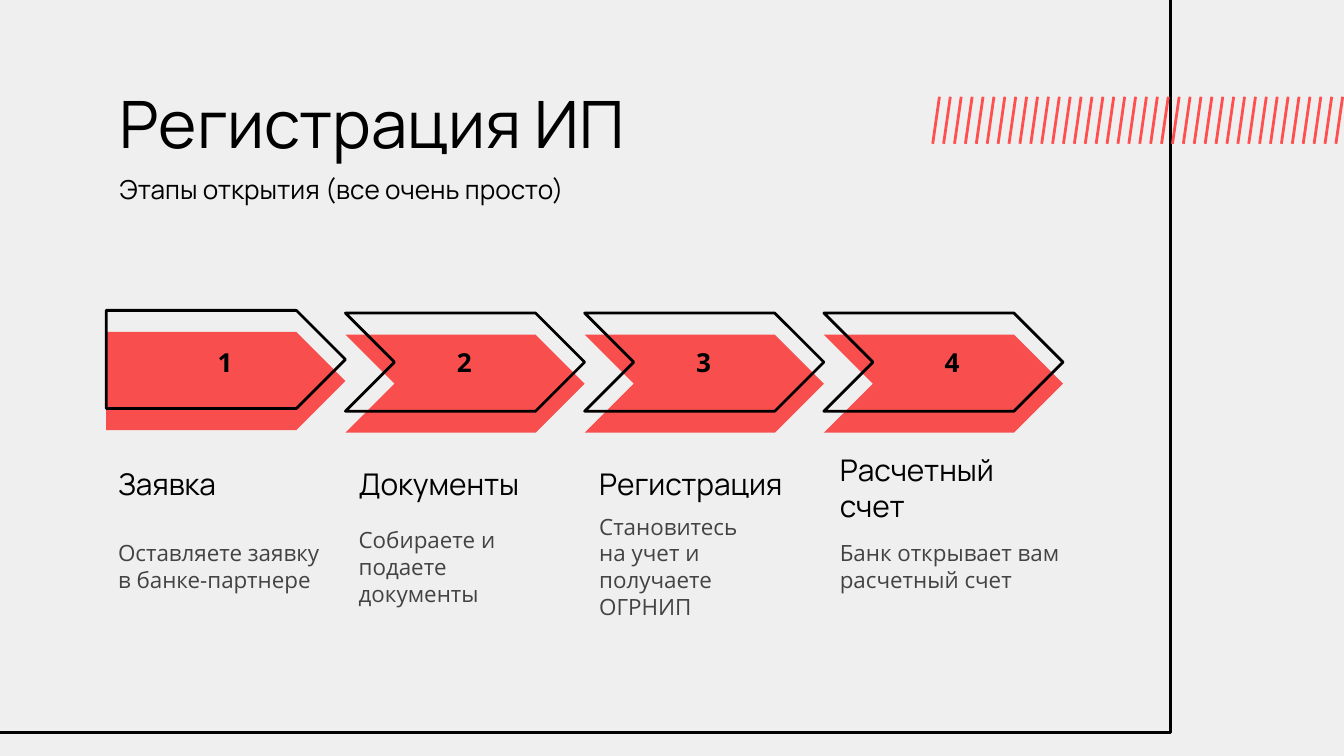
from pptx import Presentation
from pptx.dml.color import RGBColor
from pptx.enum import shapes as sh, text as tx
from pptx.oxml.ns import qn
from pptx.util import Inches, Pt
from lxml import etree

BLACK, GREY, RED, CORAL = "000000", "434343", "FF0000", "FF4F4F"
TOP, MID, LOW = tx.MSO_ANCHOR.TOP, tx.MSO_ANCHOR.MIDDLE, tx.MSO_ANCHOR.BOTTOM

# Heading, heading width, heading anchor, note, note width
STEPS = [
    ("Заявка", 1.45, LOW, "Оставляете заявку в банке-партнере", 1.78),
    ("Документы", 1.64, LOW, "Собираете и подаете документы", 1.45),
    ("Регистрация", 1.86, LOW, "Становитесь на учет и получаете ОГРНИП", 1.45),
    ("Расчетный счет", 1.45, MID, "Банк открывает вам расчетный счет", 1.92),
]


def rgb(code):
    return RGBColor.from_string(code)


def write(slide, box, words, size=12, font="Manrope", color=BLACK,
          bold=False, anchor=TOP, align=tx.PP_ALIGN.LEFT):
    frame = slide.shapes.add_textbox(*map(Inches, box)).text_frame
    frame.word_wrap = True
    frame.vertical_anchor = anchor
    frame.margin_left = frame.margin_right = Inches(0.1)
    frame.margin_top = frame.margin_bottom = Inches(0.1)
    para = frame.paragraphs[0]
    para.alignment = align
    run = para.add_run()
    run.text = words
    run.font.size, run.font.name, run.font.bold = Pt(size), font, bold
    run.font.color.rgb = rgb(color)


def draw(slide, kind, box, fill=None, alpha=100, line=None):
    shape = slide.shapes.add_shape(kind, *map(Inches, box))
    shape.shadow.inherit = False
    if fill:
        shape.fill.solid()
        shape.fill.fore_color.rgb = rgb(fill)
        tint = shape.fill._xPr.find(qn("a:solidFill"))[0]
        etree.SubElement(tint, qn("a:alpha"), val=str(alpha * 1000))
    else:
        shape.fill.background()
    if line:
        shape.line.color.rgb = rgb(line)
        shape.line.width = Pt(1.5)
    else:
        shape.line.fill.background()


def hatch(slide, left, top, width, height, count=38, lean=0.05):
    """Row of evenly spaced slanted strokes."""
    gap = (width - lean) / (count - 1)
    for i in range(count):
        x = left + i * gap
        ends = map(Inches, (x + lean, top, x, top + height))
        stroke = slide.shapes.add_connector(sh.MSO_CONNECTOR.STRAIGHT, *ends)
        stroke.line.color.rgb = rgb(CORAL)
        stroke.line.width = Pt(1.5)
        etree.SubElement(stroke._element.spPr, qn("a:effectLst"))


def header(slide, left, top):
    write(slide, (left, top, 8.43, 0.63), "Регистрация ИП", size=35)
    write(slide, (left, top + 0.67, 7.88, 0.44),
          "Этапы открытия (все очень просто)", size=14)


def arrow(slide, kind, left, top, width, height):
    """Tinted arrow with an outline shifted upwards."""
    draw(slide, kind, (left, top + 0.16, width, height), fill=RED, alpha=67)
    draw(slide, kind, (left, top, width, height), line=BLACK)


def process(slide, left, top, pitch=1.78, height=0.73):
    for i in range(len(STEPS)):
        x = left + i * pitch
        kind = sh.MSO_SHAPE.CHEVRON if i else sh.MSO_SHAPE.PENTAGON
        arrow(slide, kind, x, top + (0.02 if i else 0), pitch, height)
    for i, (head, wide, anchor, note, span) in enumerate(STEPS):
        # Number
        x = left + 0.55 + i * pitch
        write(slide, (x, top + 0.23, 0.81 if i == 3 else 0.67, 0.31),
              str(i + 1), size=14, font="Open Sans", bold=True,
              anchor=MID, align=tx.PP_ALIGN.CENTER)
        # Heading and note
        x = left - 0.01 + i * 1.79
        write(slide, (x, top + 1.11, wide, 0.41), head, size=16, anchor=anchor)
        write(slide, (x, top + 1.54, span, 0.73), note, font="Open Sans",
              color=GREY, anchor=MID)


def main():
    deck = Presentation()
    deck.slide_width, deck.slide_height = Pt(720), Pt(405)
    slide = deck.slides.add_slide(deck.slide_layouts[6])
    slide.background.fill.solid()
    slide.background.fill.fore_color.rgb = rgb("EFEFEF")

    # Frame and hatching
    draw(slide, sh.MSO_SHAPE.RECTANGLE, (-0.11, -0.12, 8.82, 5.57), line=BLACK)
    hatch(slide, 6.94, 0.72, 3.05, 0.35)

    header(slide, 0.79, 0.52)
    process(slide, 0.79, 2.31)
    deck.save("out.pptx")


if __name__ == "__main__":
    main()
